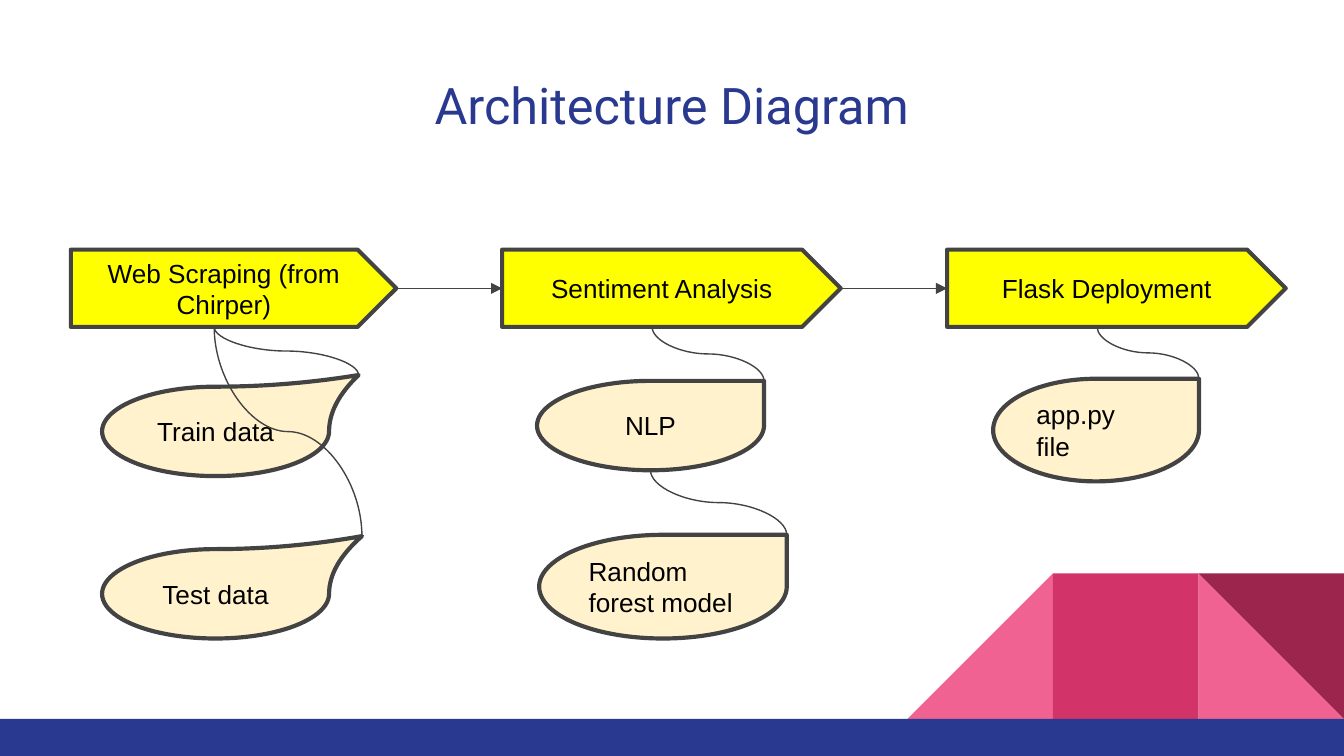
from pptx import Presentation
from pptx.dml.color import RGBColor
from pptx.enum.shapes import MSO_CONNECTOR, MSO_SHAPE
from pptx.enum.text import MSO_ANCHOR, MSO_AUTO_SIZE, PP_ALIGN
from pptx.oxml.ns import qn
from pptx.util import Cm, Pt
from lxml.etree import SubElement

NAVY = RGBColor(0x2A, 0x39, 0x90)
PINK = RGBColor(0xF0, 0x62, 0x92)
ROSE = RGBColor(0xD2, 0x33, 0x69)
WINE = RGBColor(0x9C, 0x25, 0x4D)
YELLOW = RGBColor(0xFF, 0xFF, 0x00)
CREAM = RGBColor(0xFF, 0xF2, 0xCC)
GRAY = RGBColor(0x43, 0x43, 0x43)
BLACK = RGBColor(0x00, 0x00, 0x00)

PAGE_WIDTH, PAGE_HEIGHT = 25.4, 14.29
BAND_HEIGHT = 0.7
TILE = 2.75
STAGE_TOP, STAGE_HEIGHT = 4.72, 1.46


class Diagram:
    """Holds the page and the shared style; lengths are in centimetres."""

    def __init__(self, page):
        self.page = page

    def label(self, shape, text, size, font, color, align):
        frame = shape.text_frame
        frame.text = text
        frame.word_wrap = True
        frame.auto_size = MSO_AUTO_SIZE.NONE
        frame.vertical_anchor = MSO_ANCHOR.MIDDLE
        frame.margin_left = frame.margin_right = Cm(0.25)
        frame.margin_top = frame.margin_bottom = Cm(0.25)
        para = frame.paragraphs[0]
        para.alignment = align
        span = para.runs[0]
        span.font.size = Pt(size)
        span.font.name = font
        span.font.color.rgb = color

    def title(self, text, left, top, width, height):
        box = self.page.shapes.title
        box.left, box.top, box.width, box.height = map(Cm, (left, top, width, height))
        self.label(box, text, 27, "Roboto", NAVY, PP_ALIGN.CENTER)

    def block(self, kind, left, top, width, height, fill, rotation=0):
        shape = self.page.shapes.add_shape(kind, *map(Cm, (left, top, width, height)))
        shape.shadow.inherit = False
        shape.fill.solid()
        shape.fill.fore_color.rgb = fill
        shape.line.fill.background()
        shape.rotation = rotation
        return shape

    def node(self, kind, text, left, top, width, height, fill, adjust, align):
        shape = self.block(kind, left, top, width, height, fill)
        shape.adjustments[0] = adjust
        shape.line.color.rgb = GRAY
        shape.line.width = Pt(2.25)
        self.label(shape, text, 14, "Arial", BLACK, align)
        return shape

    def stage(self, text, left, width):
        return self.node(MSO_SHAPE.PENTAGON, text, left, STAGE_TOP, width,
                         STAGE_HEIGHT, YELLOW, 0.5, PP_ALIGN.CENTER)

    def drop(self, text, left, top, width, height, tip=1, align=PP_ALIGN.CENTER):
        return self.node(MSO_SHAPE.TEAR, text, left, top, width, height,
                         CREAM, tip, align)

    def connector(self, kind, *ends):
        line = self.page.shapes.add_connector(kind, *map(int, ends))
        line.line.color.rgb = GRAY
        line.line.width = Pt(0.75)
        SubElement(line.element.spPr, qn("a:effectLst"))
        return line

    def arrow(self, source, target):
        line = self.connector(MSO_CONNECTOR.STRAIGHT, 0, 0, 0, 0)
        line.begin_connect(source, 3)
        line.end_connect(target, 1)
        outline = line.element.spPr.find(qn("a:ln"))
        SubElement(outline, qn("a:tailEnd"), type="triangle")

    def curve(self, drop, parent):
        """Run from the tip of a drop up to the bottom of its parent."""
        tip = drop.adjustments[0]
        start_x = drop.left + drop.width / 2 * (1 + tip)
        start_y = drop.top + drop.height / 2 * (1 - tip)
        point = 0
        if parent.auto_shape_type == MSO_SHAPE.PENTAGON:
            point = parent.height * parent.adjustments[0]
        end_x = parent.left + (parent.width - point) / 2
        end_y = parent.top + parent.height
        # The quarter turn swaps the spans around a shared centre
        middle_x, middle_y = (start_x + end_x) / 2, (start_y + end_y) / 2
        half_width, half_height = (start_y - end_y) / 2, (start_x - end_x) / 2
        line = self.connector(MSO_CONNECTOR.CURVE,
                              middle_x + half_width, middle_y - half_height,
                              middle_x - half_width, middle_y + half_height)
        line.element.spPr.find(qn("a:xfrm")).set("rot", "5400000")


def main():
    deck = Presentation()
    deck.slide_width, deck.slide_height = Cm(PAGE_WIDTH), Cm(PAGE_HEIGHT)
    page = deck.slides.add_slide(deck.slide_layouts[5])
    diagram = Diagram(page)

    # Corner tiles and bottom band
    band_top = PAGE_HEIGHT - BAND_HEIGHT
    for kind, place, fill, rotation in (
        (MSO_SHAPE.RIGHT_TRIANGLE, 1, PINK, 0),
        (MSO_SHAPE.RIGHT_TRIANGLE, 3, PINK, 270),
        (MSO_SHAPE.RECTANGLE, 2, ROSE, 0),
        (MSO_SHAPE.RIGHT_TRIANGLE, 1, WINE, 180),
    ):
        diagram.block(kind, PAGE_WIDTH - place * TILE, band_top - TILE,
                      TILE, TILE, fill, rotation)
    diagram.block(MSO_SHAPE.RECTANGLE, 0, band_top, PAGE_WIDTH, BAND_HEIGHT, NAVY)

    diagram.title("Architecture Diagram", 0.86, 1.14, 23.67, 1.67)

    # Stages
    scraping = diagram.stage("Web Scraping (from Chirper)", 1.34, 6.15)
    sentiment = diagram.stage("Sentiment Analysis", 9.49, 6.4)
    deployment = diagram.stage("Flask Deployment", 17.9, 6.4)

    # Details below each stage
    app = diagram.drop("app.py file", 18.77, 7.16, 3.89, 1.94, align=PP_ALIGN.LEFT)
    train = diagram.drop("Train data", 1.93, 7.31, 4.29, 1.69, tip=1.26)
    test = diagram.drop("Test data", 1.93, 10.38, 4.29, 1.69, tip=1.29)
    nlp = diagram.drop("NLP", 10.15, 7.2, 4.29, 1.69)
    forest = diagram.drop("Random forest model", 10.19, 10.11, 4.68, 1.96,
                          align=PP_ALIGN.LEFT)

    # Links
    diagram.arrow(scraping, sentiment)
    diagram.arrow(sentiment, deployment)
    for drop, parent in ((train, scraping), (nlp, sentiment), (forest, nlp),
                         (app, deployment), (test, scraping)):
        diagram.curve(drop, parent)

    deck.save("out.pptx")


if __name__ == "__main__":
    main()
